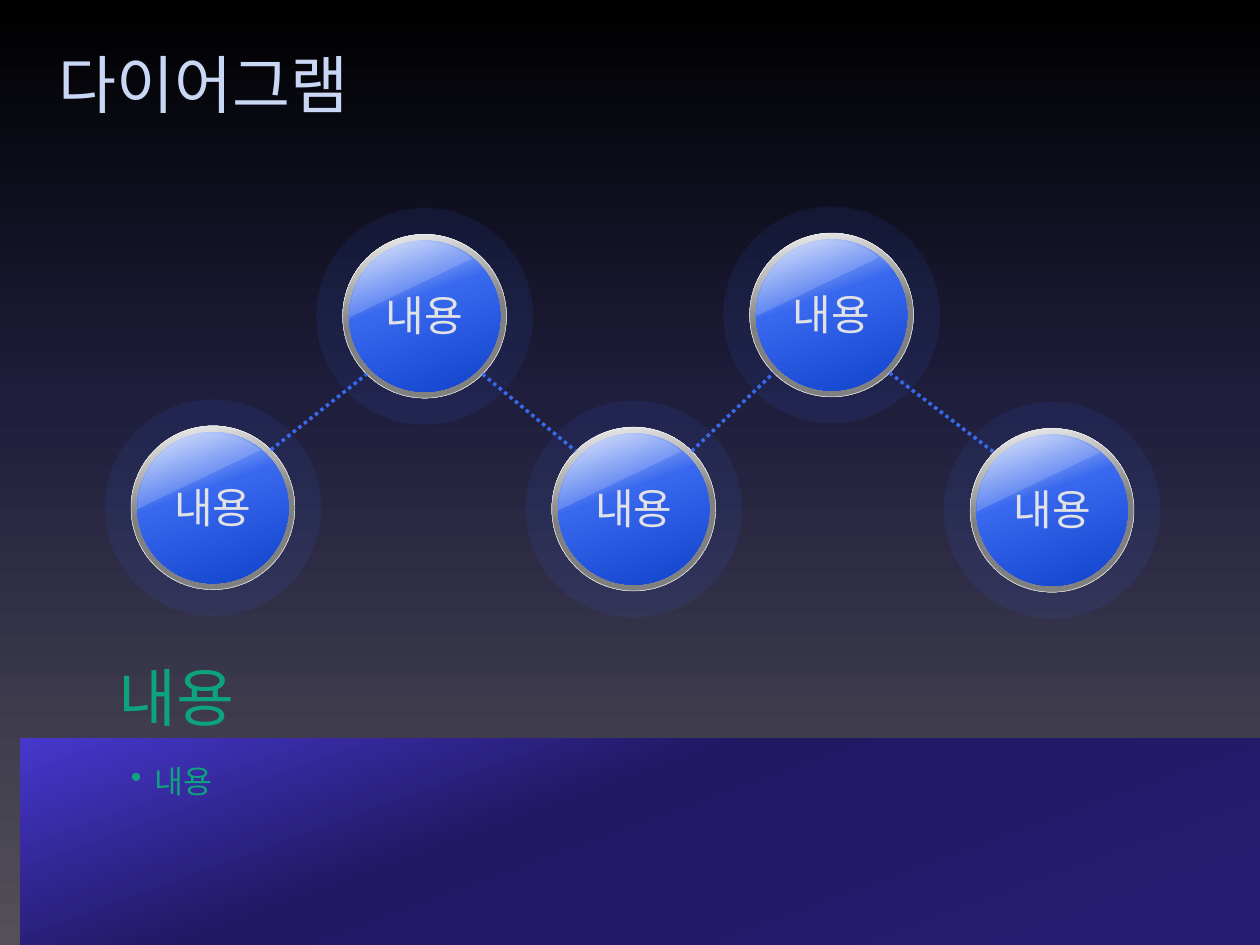
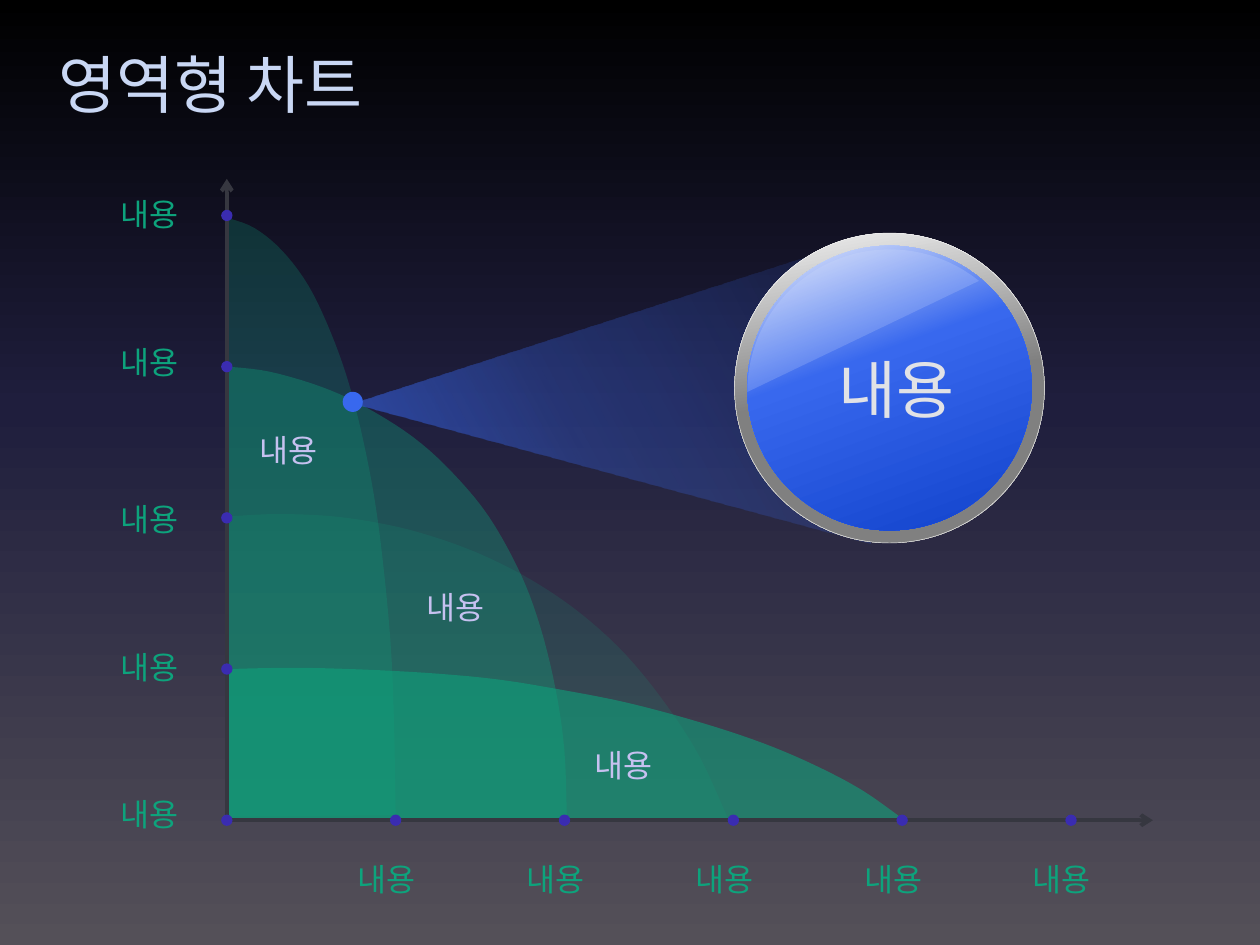
import math
from dataclasses import dataclass
from typing import Any, Optional

import lxml.etree
import pptx
import pptx.dml.color
import pptx.enum.dml
import pptx.enum.shapes
import pptx.enum.text
import pptx.oxml
import pptx.oxml.ns
import pptx.util

Inches = pptx.util.Inches
Point = tuple[float, float]
OVAL = pptx.enum.shapes.MSO_SHAPE.OVAL
FONT = "Arial"
WORD = "내용"

COLORS = {
    "title": "C9D7F4", "green": "0DA37C", "blue": "3868EE", "orb_text": "E1E2E6",
    "shine": "D7E1FC", "axis": "363740", "dot": "3A2CB1", "area_text": "C6C1F0",
    "black": "000000", "navy": "1F1E3D", "gray": "545058",
    "violet": "4737CD", "indigo": "211964", "deep": "261D73",
    "silver": "F2F2F2", "steel": "808080", "ice": "EBF0FD", "royal": "1142CB",
}


@dataclass(frozen=True)
class Stop:
    position: int
    color: str
    opacity: int = 100


@dataclass(frozen=True)
class Fill:
    stops: tuple[Stop, ...]
    angle: int = 0


@dataclass(frozen=True)
class Label:
    left: float
    top: float
    width: float
    height: float
    text: str
    size: int
    color: str
    align: str = "LEFT"
    anchor: str = "TOP"
    wrap: bool = True
    grow: bool = True
    inset: bool = True
    bullet: bool = False


@dataclass(frozen=True)
class Orb:
    x: float
    y: float
    ring: float
    core: float
    shine_drop: float
    halo: Optional[float] = None


@dataclass(frozen=True)
class Area:
    curve: tuple[Point, ...]
    base: float
    opacity: int


def solid(color: str, opacity: int = 100) -> Fill:
    return Fill((Stop(0, color, opacity),))


BACKGROUND = Fill((Stop(0, "black"), Stop(43, "navy"), Stop(100, "gray")), 90)
BAND = Fill((Stop(0, "violet"), Stop(40, "indigo"), Stop(100, "deep")), 70)
RING = Fill((Stop(0, "silver"), Stop(50, "steel"), Stop(100, "steel")), 80)
CORE = Fill((Stop(0, "ice"), Stop(40, "blue"), Stop(100, "royal")), 70)
BEAM = Fill((Stop(0, "blue", 75), Stop(40, "blue", 30), Stop(100, "blue", 0)), 90)


# Shared drawing helpers
def rgb(color: str) -> pptx.dml.color.RGBColor:
    return pptx.dml.color.RGBColor.from_string(COLORS[color])


def fill_element(fill: Fill) -> Any:
    def color_xml(stop: Stop) -> str:
        return (f'<a:srgbClr val="{COLORS[stop.color]}">'
                f'<a:alpha val="{stop.opacity * 1000}"/></a:srgbClr>')

    namespace = pptx.oxml.ns.nsdecls("a")
    if len(fill.stops) == 1:
        xml = f"<a:solidFill {namespace}>{color_xml(fill.stops[0])}</a:solidFill>"
    else:
        stops = "".join(f'<a:gs pos="{stop.position * 1000}">{color_xml(stop)}</a:gs>'
                        for stop in fill.stops)
        xml = (f'<a:gradFill {namespace} rotWithShape="1"><a:gsLst>{stops}</a:gsLst>'
               f'<a:lin ang="{fill.angle * 60000}" scaled="0"/></a:gradFill>')
    return pptx.oxml.parse_xml(xml)


def replace_fill(properties: Any, fill: Fill) -> None:
    current = properties.find(pptx.oxml.ns.qn("a:solidFill"))
    properties.replace(current, fill_element(fill))


def paint(shape: Any, fill: Fill) -> Any:
    shape.shadow.inherit = False
    shape.fill.solid()
    replace_fill(shape._element.spPr, fill)
    shape.line.fill.background()
    return shape


def add_circle(shapes: Any, x: float, y: float, diameter: float, fill: Fill,
               preset: Any = OVAL) -> Any:
    radius = diameter / 2
    return paint(shapes.add_shape(preset, Inches(x - radius), Inches(y - radius),
                                  Inches(diameter), Inches(diameter)), fill)


def add_polygon(shapes: Any, points: list[Point], fill: Fill) -> Any:
    corners = [(Inches(x), Inches(y)) for x, y in points]
    builder = shapes.build_freeform(*corners[0])
    builder.add_line_segments(corners[1:], close=True)
    return paint(builder.convert_to_shape(), fill)


def add_line(shapes: Any, start: Point, end: Point, color: str, width: float,
             dotted: bool = False, arrow: bool = False) -> None:
    connector = shapes.add_connector(pptx.enum.shapes.MSO_CONNECTOR.STRAIGHT,
                                     *(Inches(value) for value in start + end))
    connector.line.color.rgb = rgb(color)
    connector.line.width = pptx.util.Pt(width)
    if dotted:
        connector.line.dash_style = pptx.enum.dml.MSO_LINE.ROUND_DOT
    if arrow:
        lxml.etree.SubElement(connector.line._get_or_add_ln(),
                              pptx.oxml.ns.qn("a:headEnd"), type="arrow")
    lxml.etree.SubElement(connector._element.spPr, pptx.oxml.ns.qn("a:effectLst"))


def add_label(slide: Any, label: Label) -> None:
    box = slide.shapes.add_textbox(Inches(label.left), Inches(label.top),
                                   Inches(label.width), Inches(label.height))
    frame = box.text_frame
    frame.word_wrap = label.wrap
    sizing = pptx.enum.text.MSO_AUTO_SIZE
    frame.auto_size = sizing.SHAPE_TO_FIT_TEXT if label.grow else sizing.NONE
    frame.vertical_anchor = pptx.enum.text.MSO_ANCHOR[label.anchor]
    if not label.inset:
        frame.margin_left = frame.margin_top = frame.margin_right = frame.margin_bottom = 0
    paragraph = frame.paragraphs[0]
    paragraph.alignment = pptx.enum.text.PP_ALIGN[label.align]
    if label.bullet:
        properties = paragraph._p.get_or_add_pPr()
        properties.set("marL", str(Inches(0.19)))
        properties.set("indent", str(Inches(-0.19)))
        lxml.etree.SubElement(properties, pptx.oxml.ns.qn("a:buChar"), char="•")
    run = paragraph.add_run()
    run.text = label.text
    run.font.name = FONT
    run.font.size = pptx.util.Pt(label.size)
    run.font.color.rgb = rgb(label.color)


def add_orb(slide: Any, orb: Orb) -> None:
    shapes = slide.shapes.add_group_shape().shapes
    if orb.halo:
        add_circle(shapes, orb.x, orb.y, orb.halo, solid("blue", 10))
    ring = add_circle(shapes, orb.x, orb.y, orb.ring, RING)
    ring.line.color.rgb = rgb("silver")
    ring.line.width = pptx.util.Pt(0.25)
    add_circle(shapes, orb.x, orb.y, orb.core, CORE)
    shine = add_circle(shapes, orb.x, orb.y + orb.shine_drop, orb.core,
                       solid("shine", 20), pptx.enum.shapes.MSO_SHAPE.CHORD)
    shine.adjustments[0], shine.adjustments[1] = 53.946, 131.298
    shine.rotation = 90


def add_titled_slide(presentation: Any, title: str) -> Any:
    slide = presentation.slides.add_slide(presentation.slide_layouts[6])
    add_label(slide, Label(0.37, 0.2, 9.26, 0.92, title, 36, "title",
                           anchor="MIDDLE", grow=False))
    return slide


# Slide 1: chain of orbs
NODE_CENTERS = ((1.69, 4.03), (3.37, 2.51), (5.03, 4.04), (6.6, 2.5), (8.35, 4.05))
NODE_RING = 1.3


def build_diagram_slide(presentation: Any) -> None:
    slide = add_titled_slide(presentation, "다이어그램")
    paint(slide.shapes.add_shape(pptx.enum.shapes.MSO_SHAPE.RECTANGLE, Inches(0.16),
                                 Inches(5.86), Inches(9.84), Inches(1.64)), BAND)
    for x, y in NODE_CENTERS:
        add_orb(slide, Orb(x, y, NODE_RING, 1.2, 0.01, halo=1.72))
        add_label(slide, Label(x - 0.58, y - 0.26, 1.16, 0.5, WORD, 24, "orb_text",
                               align="CENTER"))
    # Dotted links leave each ring at 45 degrees
    reach = NODE_RING / 2 * math.sqrt(0.5)
    for (x1, y1), (x2, y2) in zip(NODE_CENTERS, NODE_CENTERS[1:]):
        rise = math.copysign(reach, y2 - y1)
        add_line(slide.shapes, (x1 + reach, y1 + rise), (x2 - reach, y2 - rise),
                 "blue", 2, dotted=True)
    add_label(slide, Label(0.94, 6, 7.96, 1.3, WORD, 18, "green", bullet=True))
    add_label(slide, Label(0.94, 5.23, 8.12, 0.6, WORD, 36, "green",
                           anchor="BOTTOM", inset=False))


# Slide 2: overlapping areas with a callout
AXIS_X, AXIS_Y = 1.8, 6.51
TICK_X, TICK_Y = 1.34, 1.2
AREAS = (
    Area(((1.8, 4.1), (2.2, 4.08), (2.66, 4.1), (3.1, 4.17), (3.47, 4.27), (3.84, 4.41),
          (4.23, 4.61), (4.61, 4.87), (4.97, 5.2), (5.3, 5.61), (5.56, 6.02),
          (5.78, 6.5)), 6.5, 15),
    Area(((1.81, 2.91), (2.14, 2.95), (2.55, 3.07), (2.9, 3.23), (3.28, 3.47),
          (3.59, 3.75), (3.88, 4.1), (4.13, 4.55), (4.29, 4.98), (4.41, 5.47),
          (4.48, 5.96), (4.5, 6.52)), 6.52, 35),
    Area(((1.81, 1.73), (2.02, 1.81), (2.24, 1.99), (2.45, 2.27), (2.63, 2.65),
          (2.78, 3.08), (2.91, 3.62), (3, 4.14), (3.07, 4.75), (3.11, 5.26),
          (3.13, 5.84), (3.14, 6.47)), 6.48, 24),
    Area(((1.8, 5.31), (2.3, 5.3), (2.78, 5.31), (3.38, 5.34), (3.93, 5.39),
          (4.43, 5.47), (4.99, 5.58), (5.58, 5.74), (6.06, 5.9), (6.46, 6.07),
          (6.84, 6.27), (7.18, 6.51)), 6.51, 58),
)


def smooth_curve(knots: tuple[Point, ...], steps: int = 5) -> list[Point]:
    """Pass a Catmull-Rom spline through the knots."""
    padded = (knots[0],) + knots + (knots[-1],)
    points = []
    for a, b, c, d in zip(padded, padded[1:], padded[2:], padded[3:]):
        for step in range(steps):
            t = step / steps
            points.append(tuple(
                q + t * (r - p) / 2 + t ** 2 * (2 * p - 5 * q + 4 * r - s) / 2
                + t ** 3 * (3 * q - p - 3 * r + s) / 2
                for p, q, r, s in zip(a, b, c, d)))
    return points + [knots[-1]]


def add_small_label(slide: Any, left: float, top: float, color: str) -> None:
    add_label(slide, Label(left, top, 0.7, 0.4, WORD, 18, color, wrap=False))


def build_area_slide(presentation: Any) -> None:
    slide = add_titled_slide(presentation, "영역형 차트")
    shapes = slide.shapes
    for area in AREAS:
        outline = [(AXIS_X, area.base)] + smooth_curve(area.curve)
        add_polygon(shapes, outline, solid("green", area.opacity))

    # Axes and tick dots
    add_line(shapes, (AXIS_X, 1.42), (AXIS_X, 6.52), "axis", 2.25, arrow=True)
    add_line(shapes, (9.15, AXIS_Y), (1.82, AXIS_Y), "axis", 2.25, arrow=True)
    dots = [(AXIS_X, AXIS_Y - TICK_Y * row) for row in range(5)]
    dots += [(AXIS_X + TICK_X * column, AXIS_Y) for column in range(1, 6)]
    for x, y in dots:
        add_circle(shapes, x, y, 0.09, solid("dot"))

    # Area and axis labels
    for step in range(3):
        add_small_label(slide, 1.96 + 1.33 * step, 3.37 + 1.25 * step, "area_text")
    for top in (1.5, 2.67, 3.92, 5.09, 6.26):
        add_small_label(slide, 0.86, top, "green")
    for column in range(5):
        add_small_label(slide, 2.74 + TICK_X * column, 6.78, "green")

    # Beam from the crossing point to the large orb
    beam = add_polygon(shapes, [(3.9, 4.47), (6.82, 1.37), (6.06, 5.61)], BEAM)
    beam.rotation = 241.9
    add_orb(slide, Orb(7.06, 3.08, 2.46, 2.26, 0.03))
    add_circle(shapes, 2.8, 3.19, 0.16, solid("blue"))
    add_label(slide, Label(6.56, 2.73, 1.2, 0.71, WORD, 36, "orb_text",
                           anchor="MIDDLE", wrap=False))


def main() -> None:
    presentation = pptx.Presentation()
    presentation.slide_width, presentation.slide_height = Inches(10), Inches(7.5)
    master = presentation.slide_master
    master.background.fill.solid()
    replace_fill(master._element.cSld.bg.bgPr, BACKGROUND)
    build_diagram_slide(presentation)
    build_area_slide(presentation)
    presentation.save("out.pptx")


if __name__ == "__main__":
    main()
